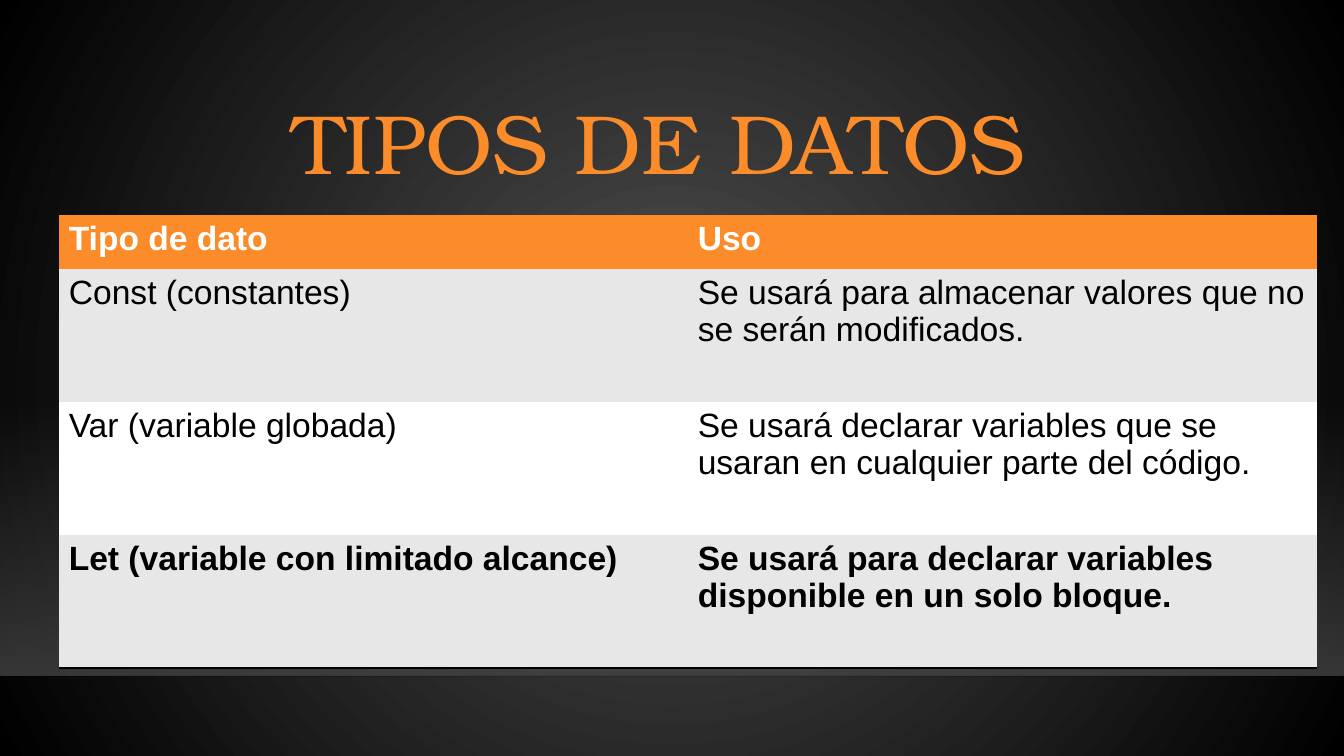
from pptx import Presentation
from pptx import util as u
from pptx.dml.color import RGBColor
from pptx.enum import shapes, text
from pptx.oxml import parse_xml
from pptx.oxml.ns import nsdecls, qn

ORANGE, BLACK, WHITE, PALE = "FB8C29", "000000", "FFFFFF", "E7E7E7"


def rgb(hex_color):
    return RGBColor.from_string(hex_color)


def gradient(stops, direction):
    """Return a:gradFill XML; each stop is (position %, colour, opacity %)."""
    stop_xml = "".join(
        f'<a:gs pos="{pos * 1000}"><a:srgbClr val="{color}">'
        f'<a:alpha val="{opacity * 1000}"/></a:srgbClr></a:gs>'
        for pos, color, opacity in stops)
    return (f'<a:gradFill {nsdecls("a")} rotWithShape="1">'
            f'<a:gsLst>{stop_xml}</a:gsLst>{direction}</a:gradFill>')


prs = Presentation()
prs.slide_width, prs.slide_height = u.Cm(33.87), u.Cm(19.05)
slide = prs.slides.add_slide(prs.slide_layouts[5])

# Background: a light centre fading to black
glow = gradient(
    [(0, "505050", 100), (100, BLACK, 100)],
    '<a:path path="circle">'
    '<a:fillToRect l="50000" t="50000" r="50000" b="50000"/></a:path>')
slide.element.cSld.insert(0, parse_xml(
    f'<p:bg {nsdecls("p", "a")}><p:bgPr>{glow}<a:effectLst/></p:bgPr></p:bg>'))

# Floor: a band that grows brighter downwards, closed by a faint line
floor = slide.shapes.add_shape(
    shapes.MSO_SHAPE.RECTANGLE, 0, u.Cm(10.06), prs.slide_width, u.Cm(6.96))
floor.shadow.inherit = False
floor.line.fill.background()
floor.element.spPr.find(qn("a:prstGeom")).addnext(parse_xml(gradient(
    [(0, "454545", 0), (100, "454545", 80)],
    '<a:lin ang="5400000" scaled="0"/>')))

floor_edge = slide.shapes.add_connector(
    shapes.MSO_CONNECTOR.STRAIGHT, 0, u.Cm(17.04), prs.slide_width, u.Cm(17.04))
floor_edge.line.width = u.Pt(1)
floor_edge.line.color.rgb = rgb("000001")
floor_edge.line.fill._xPr.find(".//" + qn("a:srgbClr")).append(
    parse_xml(f'<a:alpha {nsdecls("a")} val="20000"/>'))
floor_edge.element.spPr.append(parse_xml(f'<a:effectLst {nsdecls("a")}/>'))

# Title
title = slide.shapes.title
title.left, title.top = u.Cm(4.04), u.Cm(2.24)
title.width, title.height = u.Cm(25.8), u.Cm(2.92)
title.text_frame.vertical_anchor = text.MSO_ANCHOR.MIDDLE
title.text_frame.auto_size = text.MSO_AUTO_SIZE.NONE
heading = title.text_frame.paragraphs[0]
heading.alignment = text.PP_ALIGN.CENTER
heading.line_spacing = 0.9
heading_run = heading.add_run()
heading_run.text = "TIPOS DE DATOS "
heading_run.font.name = "TeX Gyre Bonum"
heading_run.font.size = u.Pt(60)
heading_run.font.color.rgb = rgb(ORANGE)

# Table: (type, use, fill, text colour, bold, row height in cm)
rows = [
    ("Tipo de dato", "Uso", ORANGE, WHITE, True, 1.35),
    ("Const (constantes)",
     "Se usará para almacenar valores que no se serán modificados.",
     PALE, BLACK, False, 3.35),
    ("Var (variable globada)",
     "Se usará declarar variables que se usaran en cualquier parte del código.",
     WHITE, BLACK, False, 3.35),
    ("Let (variable con limitado alcance)",
     "Se usará para declarar variables disponible en un solo bloque.",
     PALE, BLACK, True, 3.35),
]
data_types = slide.shapes.add_table(
    len(rows), 2, u.Cm(1.48), u.Cm(5.43), u.Cm(31.7), u.Cm(11.4)).table
# "No Style, No Grid"
data_types._tbl.tblPr.find(qn("a:tableStyleId")).text = (
    "{2D5ABB26-0587-4C30-8999-92F81FD0307C}")

for row_index, (kind, use, fill, color, bold, height) in enumerate(rows):
    data_types.rows[row_index].height = u.Cm(height)
    for column, words in enumerate((kind, use)):
        cell = data_types.cell(row_index, column)
        cell.fill.solid()
        cell.fill.fore_color.rgb = rgb(fill)
        run = cell.text_frame.paragraphs[0].add_run()
        run.text = words
        run.font.name = "Arial"
        run.font.size = u.Pt(24)
        run.font.bold = bold
        run.font.color.rgb = rgb(color)

for cell in data_types.rows[len(rows) - 1].cells:
    cell._tc.tcPr.insert(0, parse_xml(
        f'<a:lnB {nsdecls("a")} w="25400"><a:solidFill>'
        f'<a:srgbClr val="{BLACK}"/></a:solidFill></a:lnB>'))

prs.save("out.pptx")
